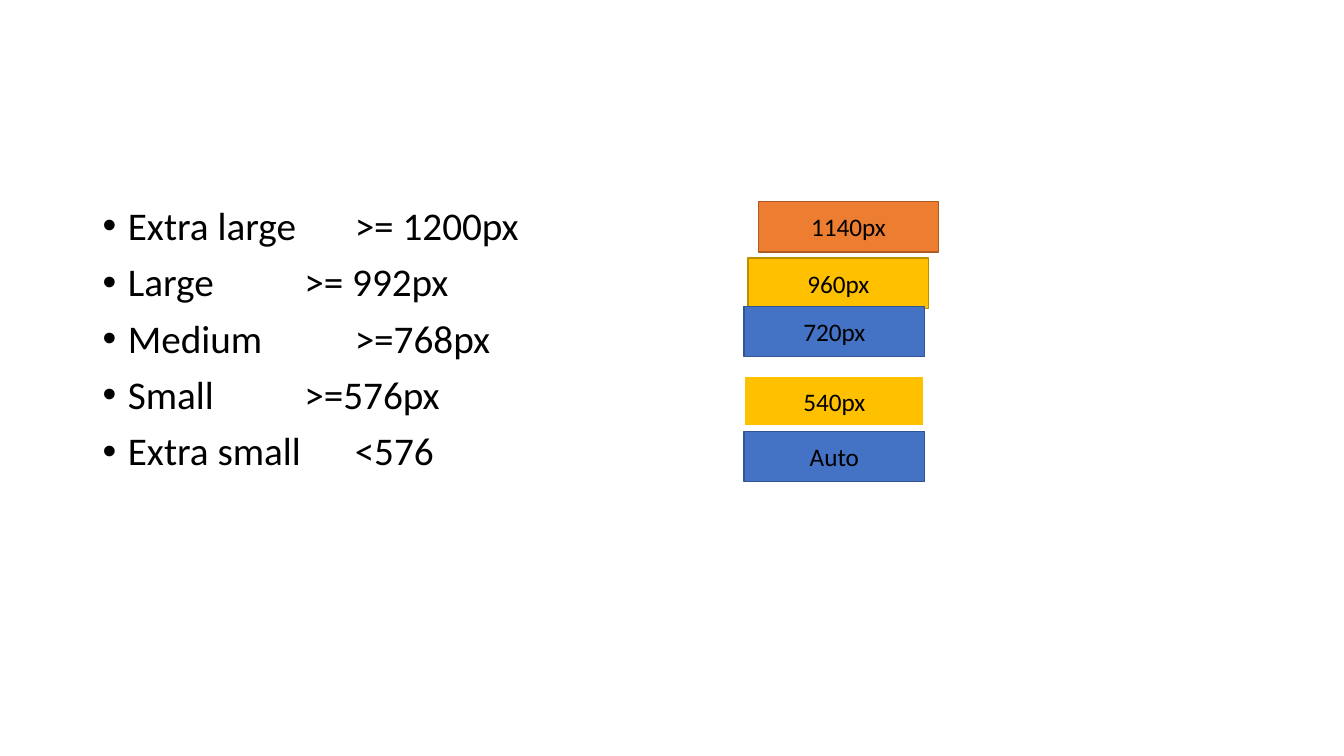
from lxml.etree import SubElement
from pptx import Presentation
from pptx.dml.color import RGBColor
from pptx.enum.shapes import MSO_SHAPE
from pptx.enum.text import MSO_ANCHOR, PP_ALIGN
from pptx.oxml.ns import qn
from pptx.util import Inches, Pt

COLORS = {
    "text": "000000", "white": "FFFFFF",
    "orange": "ED7D31", "orange_edge": "AF5C24",
    "gold": "FFC000", "gold_edge": "BD8E00",
    "blue": "4472C4", "blue_edge": "325491",
}
BREAKPOINTS = [
    "Extra large \t>= 1200px",
    "Large \t\t>= 992px",
    "Medium \t\t>=768px",
    "Small\t\t>=576px",
    "Extra small\t\t<576",
]
# label, left, top, fill, line, line width
CONTAINER_WIDTHS = [
    ("1140px", 7.52, 2, "orange", "orange_edge", 1),
    ("960px", 7.42, 2.56, "gold", "gold_edge", 1),
    ("720px", 7.38, 3.04, "blue", "blue_edge", 1),
    ("540px", 7.38, 3.73, "gold", "white", 1.5),
    ("Auto", 7.38, 4.28, "blue", "blue_edge", 1),
]
LIST_AREA = (0.92, 2, 5.22, 4.76)
BOX_SIZE = (1.79, 0.5)
LIST_FORMAT = {"line_spacing": 0.9, "space_before": Pt(10)}
BULLET_INDENT = Inches(0.25)


def color(name):
    return RGBColor.from_string(COLORS[name])


def add_text(paragraph, text, size):
    run = paragraph.add_run()
    run.text = text
    for name, value in {"name": "Calibri", "size": Pt(size)}.items():
        setattr(run.font, name, value)
    run.font.color.rgb = color("text")


def add_bullet(paragraph):
    properties = paragraph._p.get_or_add_pPr()
    properties.set("marL", str(BULLET_INDENT))
    properties.set("indent", str(-BULLET_INDENT))
    SubElement(properties, qn("a:buFont")).set("typeface", "Arial")
    SubElement(properties, qn("a:buChar")).set("char", "•")


def add_breakpoint_list(slide):
    frame = slide.shapes.add_textbox(*map(Inches, LIST_AREA)).text_frame
    frame.word_wrap = True
    for index, text in enumerate(BREAKPOINTS):
        paragraph = frame.add_paragraph() if index else frame.paragraphs[0]
        for name, value in LIST_FORMAT.items():
            setattr(paragraph, name, value)
        add_bullet(paragraph)
        add_text(paragraph, text, 28)


def add_width_box(slide, label, left, top, fill, line, line_width):
    shape = slide.shapes.add_shape(
        MSO_SHAPE.RECTANGLE, *map(Inches, (left, top, *BOX_SIZE)))
    shape.shadow.inherit = False
    shape.fill.solid()
    shape.fill.fore_color.rgb = color(fill)
    shape.line.color.rgb = color(line)
    shape.line.width = Pt(line_width)
    shape.text_frame.vertical_anchor = MSO_ANCHOR.MIDDLE
    paragraph = shape.text_frame.paragraphs[0]
    paragraph.alignment = PP_ALIGN.CENTER
    add_text(paragraph, label, 18)


def main():
    presentation = Presentation()
    presentation.slide_width = Inches(13.33)
    presentation.slide_height = Inches(7.5)
    slide = presentation.slides.add_slide(presentation.slide_layouts[6])
    add_breakpoint_list(slide)
    for box in CONTAINER_WIDTHS:
        add_width_box(slide, *box)
    presentation.save("out.pptx")


if __name__ == "__main__":
    main()
